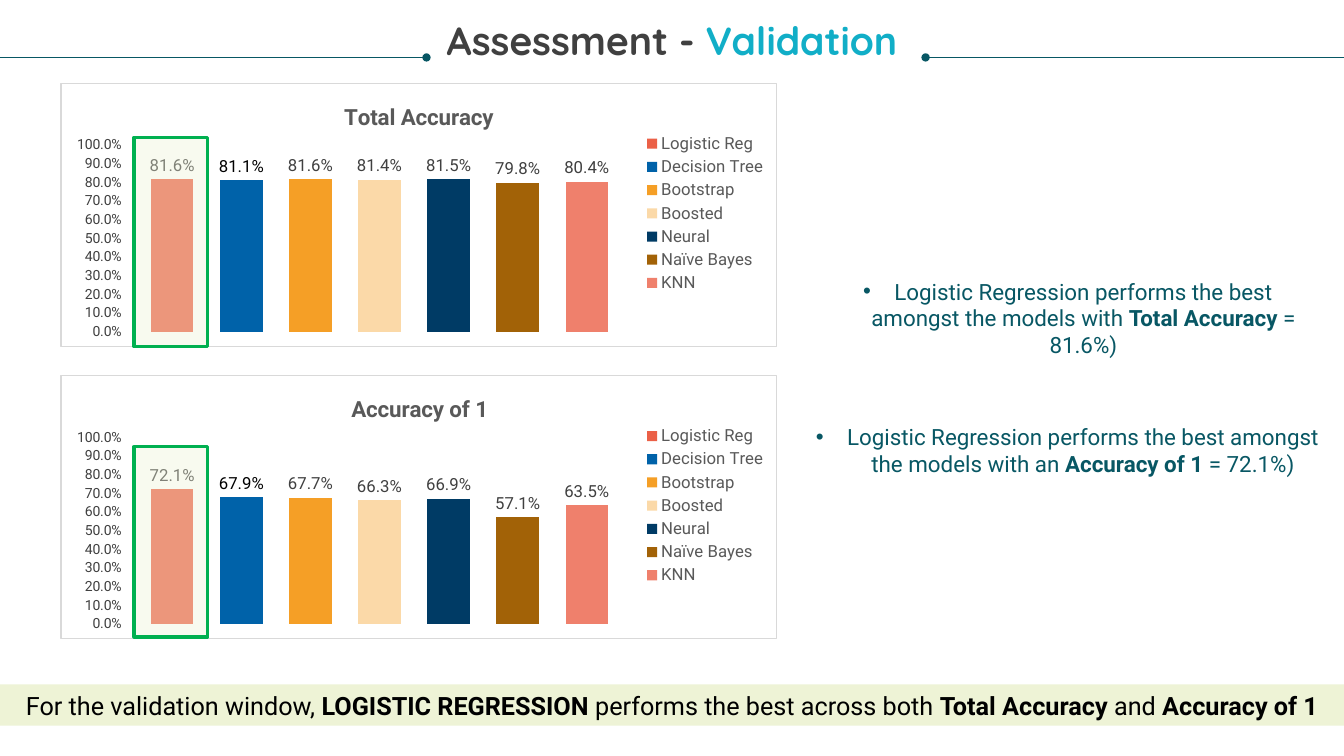
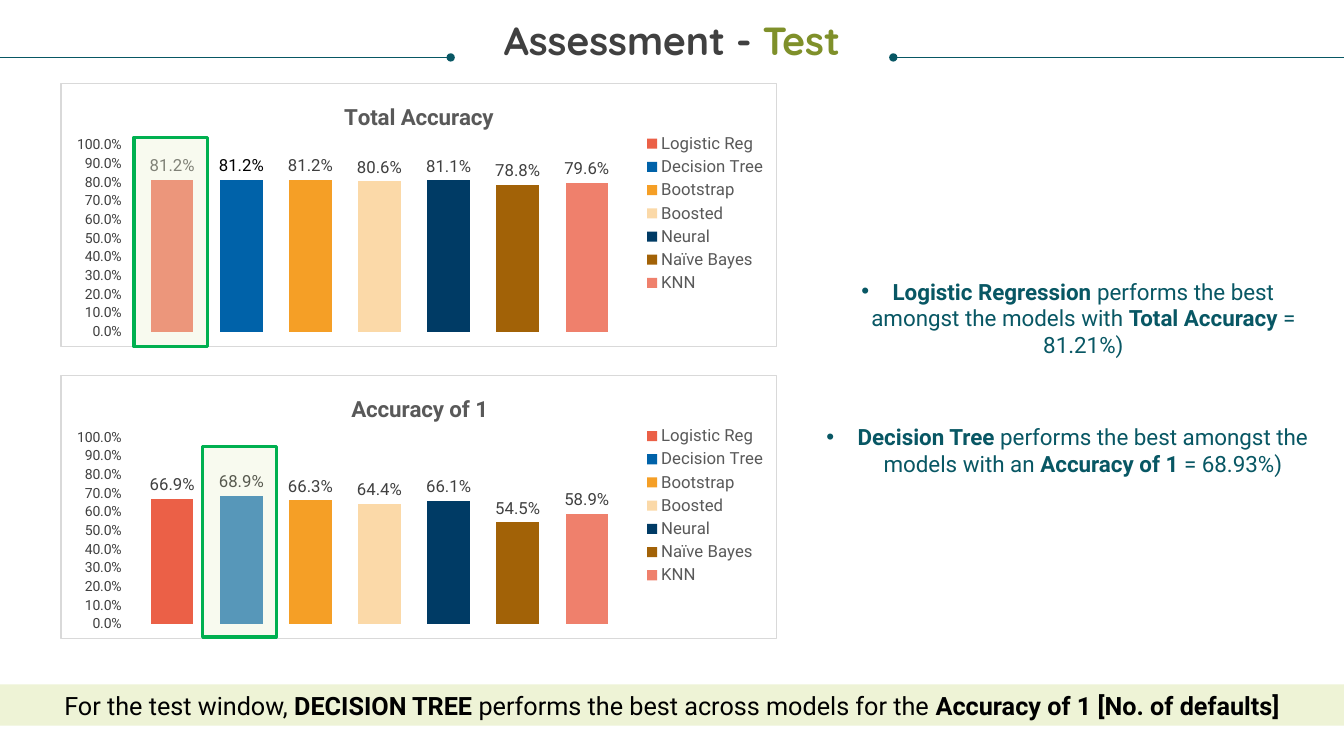
from pptx import Presentation
from pptx.chart.data import CategoryChartData
from pptx.dml.color import RGBColor
from pptx.enum.chart import XL_CHART_TYPE, XL_LABEL_POSITION, XL_LEGEND_POSITION, XL_TICK_MARK
from pptx.enum.shapes import MSO_CONNECTOR, MSO_SHAPE
from pptx.enum.text import MSO_ANCHOR, MSO_AUTO_SIZE, PP_ALIGN
from pptx.oxml import parse_xml
from pptx.oxml.ns import nsdecls, qn
from pptx.util import Inches, Pt

COLUMN = XL_CHART_TYPE.COLUMN_CLUSTERED
OUTSIDE = XL_LABEL_POSITION.OUTSIDE_END
LEGEND_RIGHT = XL_LEGEND_POSITION.RIGHT
NO_TICK = XL_TICK_MARK.NONE
STRAIGHT = MSO_CONNECTOR.STRAIGHT
RECTANGLE = MSO_SHAPE.RECTANGLE
MIDDLE = MSO_ANCHOR.MIDDLE
GROW = MSO_AUTO_SIZE.SHAPE_TO_FIT_TEXT
CENTER = PP_ALIGN.CENTER

SLIDE_W, SLIDE_H = 13.33, 7.5
HEAD_FONT, BODY_FONT = "Quicksand", "Roboto"
TEAL, DARK, GREY, BLACK = "085764", "404040", "595959", "000000"
BORDER, PALE_GREEN, GREEN = "D9D9D9", "EEF3D6", "00B050"
RULE_Y = 0.57
PERCENT = "0.0%"
MODELS = [
    ("Logistic Reg", "EB6047"),
    ("Decision Tree", "0062A9"),
    ("Bootstrap", "F59F26"),
    ("Boosted", "FBD9A8"),
    ("Neural", "003B65"),
    ("Naïve Bayes", "A26207"),
    ("KNN", "EF806C"),
]
CHART_TOPS = (0.82, 3.72)
CHART_TITLES = (("Total Accuracy", 0.39), ("Accuracy of 1", 0.4))
HIGHLIGHT_SPANS = ((1.36, 2.08), (4.43, 1.89))
HIGHLIGHT_LEFT, BAR_PITCH = 1.33, 0.68
NOTE_BOXES = ((8.2, 2.76, 4.78), (8.09, 4.2, 4.99))

SLIDES = [
    {
        "title": ("Validation", "11AEC7"),
        "rule_ends": (4.23, 9.18),
        "values": (
            (0.816, 0.811, 0.816, 0.814, 0.815, 0.798, 0.804),
            (0.721, 0.679, 0.677, 0.663, 0.669, 0.571, 0.635),
        ),
        "custom_labels": ({}, {}),
        "best": (0, 0),
        "notes": (
            "Logistic Regression performs the best amongst the models with **Total Accuracy** = 81.6%)",
            "Logistic Regression performs the best amongst the models with an **Accuracy of 1** = 72.1%)",
        ),
        "summary": "For the validation window, **LOGISTIC REGRESSION **performs the best across both "
                   "**Total Accuracy **and** Accuracy of 1**",
    },
    {
        "title": ("Test", "7F902A"),
        "rule_ends": (4.47, 8.86),
        "values": (
            (0.812, 0.812, 0.812, 0.806, 0.811, 0.788, 0.796),
            (0.669, 0.685, 0.663, 0.644, 0.661, 0.545, 0.589),
        ),
        "custom_labels": ({}, {"Decision Tree": "68.9%"}),
        "best": (0, 1),
        "notes": (
            "**Logistic Regression **performs the best amongst the models with **Total Accuracy** = 81.21%)",
            "**Decision Tree **performs the best amongst the models with an **Accuracy of 1** = 68.93%)",
        ),
        "summary": "For the test window, **DECISION TREE **performs the best across models for the "
                   "**Accuracy of 1 [No. of defaults]**",
    },
]


def rgb(color):
    return RGBColor.from_string(color)


def style_font(font, size, color, bold=False, name=BODY_FONT):
    font.name = name
    font.size = Pt(size)
    font.bold = bold
    font.color.rgb = rgb(color)


def add_run(p, text, *style):
    r = p.add_run()
    r.text = text
    style_font(r.font, *style)


def add_marked_text(p, text, size, color):
    for i, part in enumerate(text.split("**")):
        if part:
            add_run(p, part, size, color, i % 2 == 1)


def add_text_box(slide, left, top, width, height):
    tf = slide.shapes.add_textbox(Inches(left), Inches(top), Inches(width), Inches(height)).text_frame
    tf.word_wrap = True
    tf.auto_size = GROW
    tf.margin_left = tf.margin_right = tf.margin_top = tf.margin_bottom = 0
    p = tf.paragraphs[0]
    p.alignment = CENTER
    return p


def add_rectangle(slide, left, top, width, height):
    sp = slide.shapes.add_shape(RECTANGLE, Inches(left), Inches(top), Inches(width), Inches(height))
    sp.shadow.inherit = False
    sp.fill.solid()
    sp.fill.fore_color.rgb = rgb(PALE_GREEN)
    return sp


def add_rule(slide, start, end, dot):
    line = slide.shapes.add_connector(STRAIGHT, Inches(start), Inches(RULE_Y), Inches(end), Inches(RULE_Y))
    line.line.color.rgb = rgb(TEAL)
    line.line.width = Pt(0.5)
    spPr = line._element.spPr
    spPr.find(qn("a:ln")).append(parse_xml(f'<a:{dot} {nsdecls("a")} type="oval"/>'))
    spPr.append(parse_xml(f'<a:effectLst {nsdecls("a")}/>'))


def add_title(slide, word, color, rule_ends):
    left_end, right_start = rule_ends
    add_rule(slide, 0, left_end, "tailEnd")
    add_rule(slide, right_start, SLIDE_W, "headEnd")
    p = add_text_box(slide, 0.25, 0.21, 12.83, 0.42)
    p.line_spacing = 0.9
    add_run(p, "Assessment - ", 28, DARK, True, HEAD_FONT)
    add_run(p, word, 28, color, True, HEAD_FONT)


def set_layout(parent, inner=False, **places):
    for old in parent.findall(qn("c:layout")):
        parent.remove(old)
    target = '<c:layoutTarget val="inner"/>' if inner else ""
    modes = "".join(f'<c:{k}Mode val="edge"/>' for k in ("x", "y"))
    sizes = "".join(f'<c:{k} val="{v}"/>' for k, v in places.items())
    layout = parse_xml(f'<c:layout {nsdecls("c")}><c:manualLayout>{target}{modes}{sizes}'
                       '</c:manualLayout></c:layout>')
    leading = (qn("c:tx"), qn("c:legendPos"))
    parent.insert(sum(child.tag in leading for child in parent), layout)


def style_series(series, color, custom_label):
    series.format.fill.solid()
    series.format.fill.fore_color.rgb = rgb(color)
    series.invert_if_negative = False
    label_color = BLACK if series.name == "Decision Tree" else DARK
    labels = series.data_labels
    labels.show_value = True
    labels.position = OUTSIDE
    labels.number_format = PERCENT
    labels.number_format_is_linked = False
    style_font(labels.font, 12, label_color)
    if custom_label:
        label = series.points[0].data_label
        label.text_frame.text = custom_label
        style_font(label.text_frame.paragraphs[0].runs[0].font, 12, label_color)
        label.position = OUTSIDE


def add_accuracy_chart(slide, top, title, title_x, values, custom_labels):
    data = CategoryChartData(number_format=PERCENT)
    data.categories = ["1"]
    for (name, _), value in zip(MODELS, values):
        data.add_series(name, [value])
    chart = slide.shapes.add_chart(COLUMN, Inches(0.6), Inches(top), Inches(7.11), Inches(2.62), data).chart
    style_font(chart.font, 10, BLACK)

    chart.has_title = True
    tf = chart.chart_title.text_frame
    tf.text = title
    style_font(tf.paragraphs[0].runs[0].font, 16, GREY, True)
    set_layout(chart.chart_title._element, x=title_x, y=0.06)

    chart.has_legend = True
    chart.legend.position = LEGEND_RIGHT
    chart.legend.include_in_layout = False
    style_font(chart.legend.font, 12, GREY)
    set_layout(chart.legend._element, x=0.81, y=0.18, w=0.18, h=0.63)

    chart.category_axis.visible = False
    axis = chart.value_axis
    axis.minimum_scale, axis.maximum_scale, axis.major_unit = 0, 1, 0.1
    axis.has_major_gridlines = False
    axis.major_tick_mark = axis.minor_tick_mark = NO_TICK
    axis.format.line.fill.background()
    axis.tick_labels.number_format = PERCENT
    axis.tick_labels.number_format_is_linked = False
    style_font(axis.tick_labels.font, 10, DARK)

    plot = chart.plots[0]
    plot.gap_width, plot.overlap = 121, -63
    plot.vary_by_categories = False
    for series, (name, color) in zip(plot.series, MODELS):
        style_series(series, color, custom_labels.get(name))

    frame = chart.element.find(qn("c:chart"))
    set_layout(frame.find(qn("c:plotArea")), inner=True, x=0.09, y=0.235, w=0.71, h=0.71)
    frame.addnext(parse_xml(
        f'<c:spPr {nsdecls("c", "a")}><a:noFill/><a:ln w="{Pt(0.75)}"><a:solidFill>'
        f'<a:srgbClr val="{BORDER}"/></a:solidFill></a:ln></c:spPr>'))


def add_highlight(slide, column, top, height):
    sp = add_rectangle(slide, HIGHLIGHT_LEFT + column * BAR_PITCH, top, 0.73, height)
    sp.line.color.rgb = rgb(GREEN)
    sp.line.width = Pt(2.25)
    color = sp._element.spPr.find(qn("a:solidFill")).find(qn("a:srgbClr"))
    color.append(parse_xml(f'<a:alpha {nsdecls("a")} val="37000"/>'))


def add_note(slide, left, top, width, text):
    p = add_text_box(slide, left, top, width, 0.53)
    p.line_spacing = Pt(19)
    pPr = p._p.get_or_add_pPr()
    pPr.set("marL", str(Inches(0.31)))
    pPr.set("indent", str(-Inches(0.31)))
    pPr.append(parse_xml(f'<a:buFont {nsdecls("a")} typeface="Arial"/>'))
    pPr.append(parse_xml(f'<a:buChar {nsdecls("a")} char="•"/>'))
    add_marked_text(p, text, 16, TEAL)


def add_summary(slide, text):
    sp = add_rectangle(slide, 0, 6.79, SLIDE_W, 0.41)
    sp.line.fill.background()
    tf = sp.text_frame
    tf.word_wrap = True
    tf.vertical_anchor = MIDDLE
    p = tf.paragraphs[0]
    p.alignment = CENTER
    add_marked_text(p, text, 18, BLACK)


def add_assessment_slide(prs, content):
    slide = prs.slides.add_slide(prs.slide_layouts[6])
    add_title(slide, *content["title"], content["rule_ends"])
    for i, top in enumerate(CHART_TOPS):
        add_accuracy_chart(slide, top, *CHART_TITLES[i], content["values"][i], content["custom_labels"][i])
        add_highlight(slide, content["best"][i], *HIGHLIGHT_SPANS[i])
        add_note(slide, *NOTE_BOXES[i], content["notes"][i])
    add_summary(slide, content["summary"])


def main():
    prs = Presentation()
    prs.slide_width = Inches(SLIDE_W)
    prs.slide_height = Inches(SLIDE_H)
    for content in SLIDES:
        add_assessment_slide(prs, content)
    prs.save("out.pptx")


if __name__ == "__main__":
    main()
